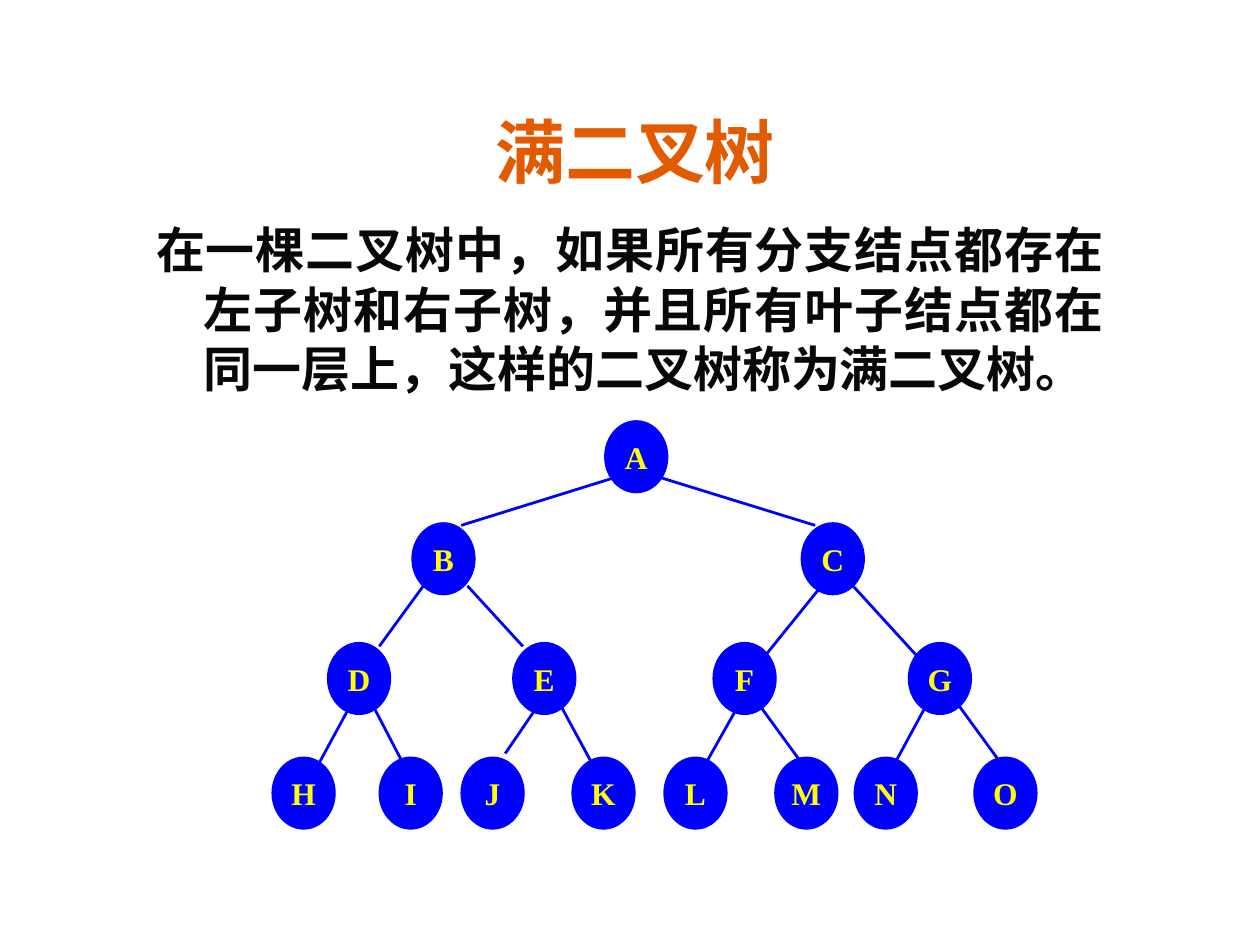
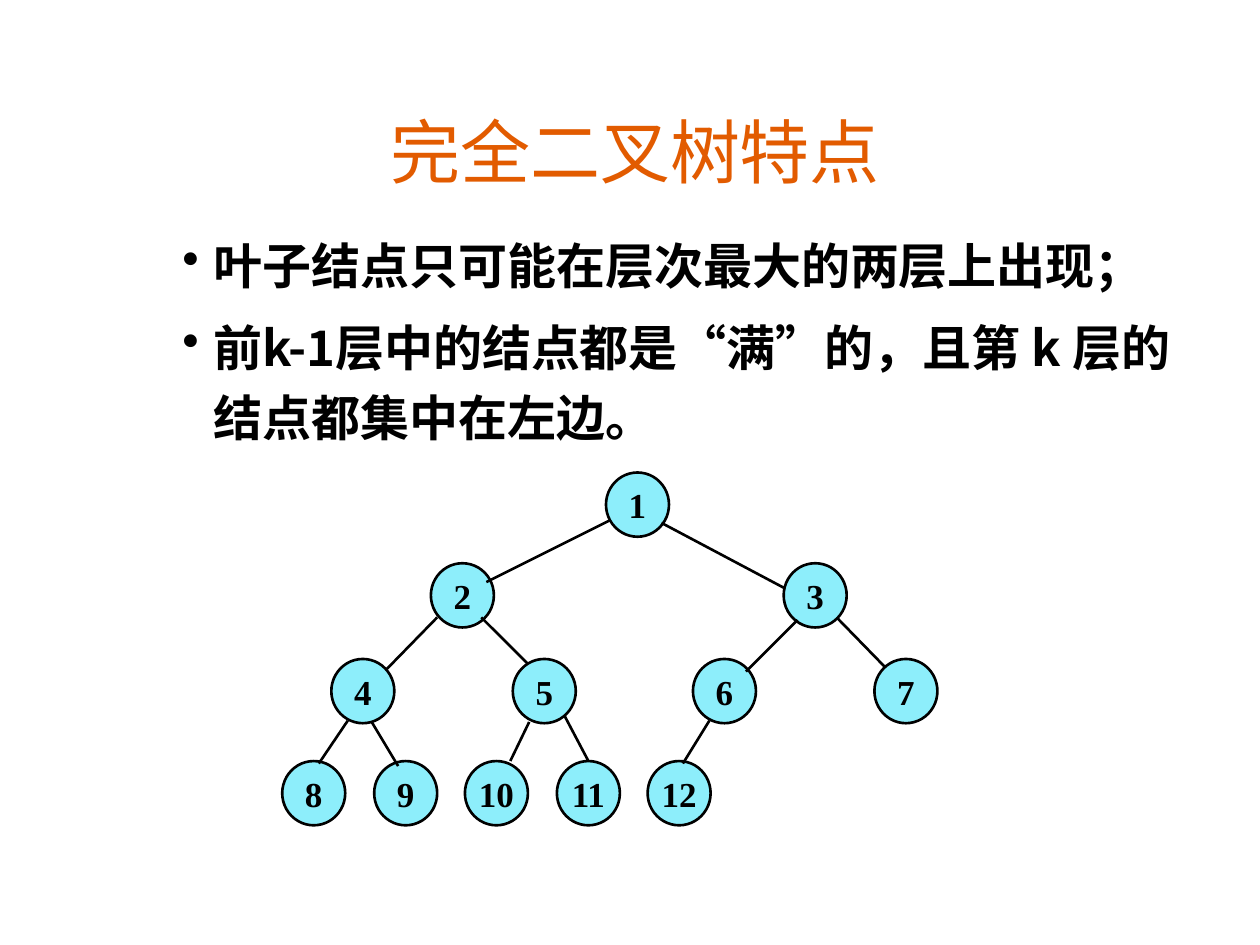
from lxml import etree
from pptx import Presentation
from pptx.dml.color import RGBColor
from pptx.enum.shapes import MSO_CONNECTOR, MSO_SHAPE
from pptx.enum.text import MSO_ANCHOR, PP_ALIGN
from pptx.oxml.ns import qn
from pptx.util import Inches, Pt

STRAIGHT = MSO_CONNECTOR.STRAIGHT
ELLIPSE = MSO_SHAPE.OVAL
CENTER, LEFT, JUSTIFY = PP_ALIGN.CENTER, PP_ALIGN.LEFT, PP_ALIGN.JUSTIFY
MIDDLE, BOTTOM, TOP = MSO_ANCHOR.MIDDLE, MSO_ANCHOR.BOTTOM, MSO_ANCHOR.TOP

ORANGE = RGBColor(0xE2, 0x5B, 0x00)
INK = RGBColor(0x08, 0x08, 0x08)
BLACK = RGBColor(0x00, 0x00, 0x00)
BLUE = RGBColor(0x00, 0x00, 0xFF)
YELLOW = RGBColor(0xFF, 0xFF, 0x00)
CYAN = RGBColor(0x8D, 0xEE, 0xFB)

TITLE_FONT, BODY_FONT, NODE_FONT = "Comic Neue", "Noto Sans CJK SC", "Times New Roman"

# Tree looks: node size, colours, line widths and label size
FULL_STYLE = {"height": 0.57, "fill": BLUE, "line": BLUE, "outline": 0.75,
              "edge": 1.59, "text": YELLOW, "size": 18}
COMPLETE_STYLE = {"height": 0.51, "fill": CYAN, "line": BLACK, "outline": 1.5,
                  "edge": 1.5, "text": BLACK, "size": 20}
NODE_WIDTH = 0.5

# Levels: top of the row, then the left side of each node
FULL_LEVELS = [
    (3.34, {"A": 4.8}),
    (4.15, {"B": 3.27, "C": 6.36}),
    (5.1, {"D": 2.6, "E": 4.07, "F": 5.66, "G": 7.21}),
    (6.01, {"H": 2.16, "I": 3.01, "J": 3.66, "K": 4.54,
            "L": 5.27, "M": 6.15, "N": 6.78, "O": 7.73}),
]
COMPLETE_LEVELS = [
    (3.75, {"1": 4.81}),
    (4.47, {"2": 3.42, "3": 6.22}),
    (5.23, {"4": 2.63, "5": 4.07, "6": 5.5, "7": 6.94}),
    (6.04, {"8": 2.24, "9": 2.97, "10": 3.69, "11": 4.42, "12": 5.14}),
]

# Branches: start x, start y, end x, end y
FULL_EDGES = [
    (4.88, 3.79, 3.66, 4.17), (5.24, 3.79, 6.47, 4.17),
    (3.36, 4.65, 3.01, 5.13), (3.71, 4.65, 4.15, 5.13),
    (6.52, 4.65, 6.06, 5.22), (6.77, 4.65, 7.29, 5.22),
    (2.78, 5.6, 2.52, 6.08), (2.96, 5.6, 3.21, 6.08),
    (4.27, 5.6, 4.01, 5.98), (4.45, 5.6, 4.71, 6.08),
    (5.86, 5.6, 5.59, 6.08), (6.03, 5.6, 6.38, 6.08),
    (7.35, 5.6, 7.09, 6.08), (7.61, 5.6, 7.96, 6.08),
]
COMPLETE_EDGES = [
    (4.84, 4.13, 3.86, 4.62), (5.25, 4.15, 6.23, 4.67),
    (3.47, 4.9, 3.07, 5.31), (3.82, 4.9, 4.19, 5.27),
    (6.33, 4.92, 5.92, 5.33), (6.64, 4.9, 7.02, 5.29),
    (2.76, 5.72, 2.53, 6.06), (2.95, 5.73, 3.16, 6.08),
    (4.2, 5.73, 4.05, 6.04), (4.48, 5.68, 4.67, 6.04),
    (5.63, 5.72, 5.42, 6.06),
]


def set_attributes(target, values):
    for name, value in values.items():
        setattr(target, name, value)


def add_run(p, text, font, size, color, bold):
    r = p.add_run()
    r.text = text
    set_attributes(r.font, {"name": font, "size": Pt(size), "bold": bold})
    r.font.color.rgb = color
    ea = etree.SubElement(r.font._element, qn("a:ea"))
    ea.set("typeface", font)


def add_text_frame(slide, box, anchor, top_inset=0.05):
    tf = slide.shapes.add_textbox(*map(Inches, box)).text_frame
    set_attributes(tf, {"word_wrap": True, "vertical_anchor": anchor,
                        "margin_top": Inches(top_inset)})
    return tf


def add_title(slide, text, bold):
    p = add_text_frame(slide, (0.75, 0.75, 8.58, 0.83), BOTTOM).paragraphs[0]
    p.alignment = CENTER
    add_run(p, text, TITLE_FONT, 40, ORANGE, bold)


def set_indent(p, left, first):
    pPr = p._p.get_or_add_pPr()
    pPr.set("marL", str(Inches(left)))
    pPr.set("indent", str(Inches(first)))
    return pPr


def add_definition(slide, text):
    p = add_text_frame(slide, (1.14, 1.66, 7.72, 2), TOP, 0.08).paragraphs[0]
    set_indent(p, 0.38, -0.38)
    set_attributes(p, {"alignment": JUSTIFY, "line_spacing": Pt(34)})
    add_run(p, text, BODY_FONT, 28, INK, True)


def add_bullets(slide, items):
    tf = add_text_frame(slide, (0.35, 1.69, 9.06, 4.98), TOP, 0.09)
    for i, text in enumerate(items):
        p = tf.add_paragraph() if i else tf.paragraphs[0]
        bullet = etree.SubElement(set_indent(p, 1.25, -0.25), qn("a:buChar"))
        bullet.set("char", "•")
        set_attributes(p, {"alignment": LEFT, "line_spacing": Pt(40),
                           "space_before": Pt(7 if i else 0)})
        add_run(p, text, BODY_FONT, 28, BLACK, True)


def add_node(slide, label, x, y, style):
    sp = slide.shapes.add_shape(ELLIPSE, Inches(x), Inches(y),
                                Inches(NODE_WIDTH), Inches(style["height"]))
    sp.shadow.inherit = False
    sp.fill.solid()
    sp.fill.fore_color.rgb = style["fill"]
    sp.line.color.rgb = style["line"]
    sp.line.width = Pt(style["outline"])
    tf = sp.text_frame
    set_attributes(tf, {"word_wrap": False, "vertical_anchor": MIDDLE})
    p = tf.paragraphs[0]
    p.alignment = CENTER
    add_run(p, label, NODE_FONT, style["size"], style["text"], True)


def add_edge(slide, ends, style):
    line = slide.shapes.add_connector(STRAIGHT, *map(Inches, ends))
    line.line.color.rgb = style["line"]
    line.line.width = Pt(style["edge"])
    etree.SubElement(line._element.spPr, qn("a:effectLst"))


def add_tree(slide, levels, edges, style):
    for y, nodes in levels:
        for label, x in nodes.items():
            add_node(slide, label, x, y, style)
    for ends in edges:
        add_edge(slide, ends, style)


def main():
    prs = Presentation()
    prs.slide_width, prs.slide_height = Inches(10), Inches(7.5)
    blank = prs.slide_layouts[6]

    # Full binary tree
    s = prs.slides.add_slide(blank)
    add_title(s, "满二叉树", True)
    add_definition(s, "在一棵二叉树中，如果所有分支结点都存在左子树和右子树，"
                      "并且所有叶子结点都在同一层上，这样的二叉树称为满二叉树。")
    add_tree(s, FULL_LEVELS, FULL_EDGES, FULL_STYLE)

    # Complete binary tree
    s = prs.slides.add_slide(blank)
    add_title(s, "完全二叉树特点", False)
    add_bullets(s, ["叶子结点只可能在层次最大的两层上出现；",
                    "前k-1层中的结点都是“满”的，且第 k 层的结点都集中在左边。"])
    add_tree(s, COMPLETE_LEVELS, COMPLETE_EDGES, COMPLETE_STYLE)

    prs.save("out.pptx")


if __name__ == "__main__":
    main()
